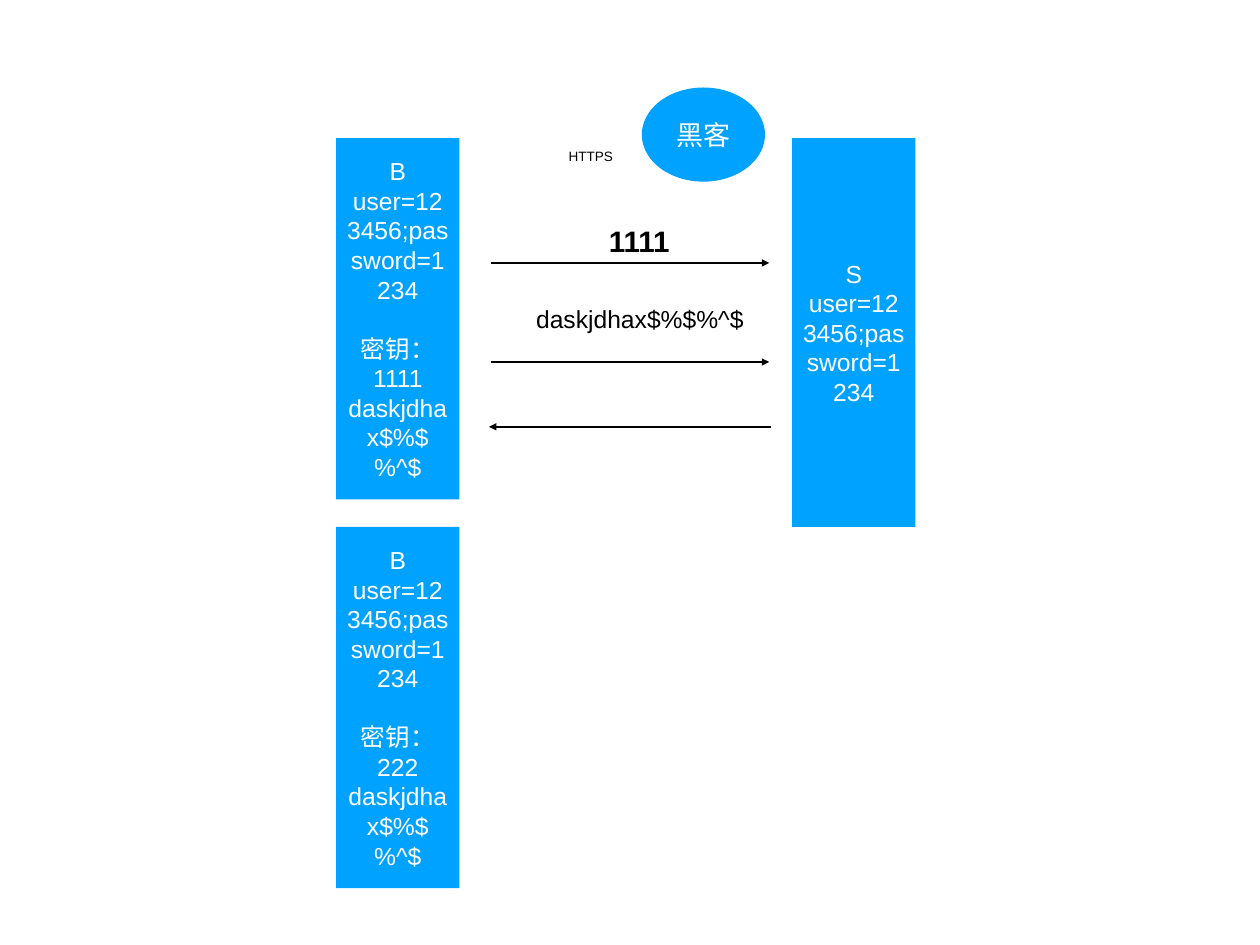
from dataclasses import dataclass

from lxml.etree import SubElement
from pptx import Presentation
from pptx.dml.color import RGBColor
from pptx.enum.shapes import MSO_CONNECTOR_TYPE as Link, MSO_SHAPE as Preset
from pptx.enum.text import MSO_ANCHOR as Anchor, MSO_AUTO_SIZE as Fit, PP_ALIGN as Align
from pptx.oxml.ns import qn
from pptx.slide import Slide
from pptx.text.text import TextFrame
from pptx.util import Cm, Pt

BLUE, WHITE, BLACK = "00A2FF", "FFFFFF", "000000"
PARTY_WIDTH = 3.53
BROWSER_LEFT, SERVER_LEFT = 9.64, 22.71
BROWSER_TOP, SECOND_BROWSER_TOP = 3.96, 15.11
BROWSER_HEIGHT = 10.36
LOGIN = "user=123456;password=1234"
CIPHER = "daskjdhax$%$%^$"


@dataclass
class Party:
    left: float
    top: float
    height: float
    lines: tuple[str, ...]
    preset: Preset = Preset.RECTANGLE
    size: int = 20
    inset: float = 0.3


@dataclass
class Label:
    left: float
    top: float
    width: float
    height: float
    text: str
    size: int
    bold: bool = False
    align: Align = Align.CENTER
    anchor: Anchor = Anchor.MIDDLE
    wrap: bool = False
    fit: Fit = Fit.SHAPE_TO_FIT_TEXT


@dataclass
class Message:
    start: float
    end: float
    y: float


def browser(top: float, key: str) -> Party:
    return Party(BROWSER_LEFT, top, BROWSER_HEIGHT, ("B", LOGIN, f"密钥：{key}", CIPHER))


PARTIES = [
    browser(BROWSER_TOP, "1111"),
    Party(SERVER_LEFT, BROWSER_TOP, SECOND_BROWSER_TOP - BROWSER_TOP, ("S", LOGIN)),
    browser(SECOND_BROWSER_TOP, "222"),
    Party(18.4, 2.51, 2.7, ("黑客",), Preset.OVAL, 22, 0.15),
]
LABELS = [
    Label(16.15, 4.09, 2.79, 1.12, "HTTPS", 11, align=Align.LEFT,
          anchor=Anchor.TOP, wrap=True, fit=Fit.NONE),
    Label(15.07, 8.59, 6.55, 1.12, CIPHER, 20),
    Label(17.22, 6.28, 2.21, 1.27, "1111", 24, bold=True),
]
MESSAGES = [
    Message(14.07, 22.05, 7.54),
    Message(14.07, 22.05, 10.38),
    Message(22.1, 14.02, 12.24),
]


def color(value: str) -> RGBColor:
    return RGBColor.from_string(value)


def apply(target: object, values: dict[str, object]) -> None:
    for name, value in values.items():
        setattr(target, name, value)


def write(frame: TextFrame, lines: tuple[str, ...], inset: float, ink: str,
          layout: dict[str, object], font: dict[str, object],
          align: Align = Align.CENTER) -> None:
    sides = ("left", "top", "right", "bottom")
    apply(frame, layout | {f"margin_{side}": Cm(inset) for side in sides})
    for index, line in enumerate(lines):
        paragraph = frame.paragraphs[0] if index == 0 else frame.add_paragraph()
        paragraph.alignment = align
        if line.startswith("密钥"):
            paragraph.space_before = Pt(24)
        run = paragraph.add_run()
        run.text = line
        apply(run.font, {"name": "Arial"} | font)
        run.font.color.rgb = color(ink)


def draw_party(slide: Slide, party: Party) -> None:
    block = slide.shapes.add_shape(party.preset, Cm(party.left), Cm(party.top),
                                   Cm(PARTY_WIDTH), Cm(party.height))
    block.shadow.inherit = False
    block.fill.solid()
    block.fill.fore_color.rgb = color(BLUE)
    block.line.fill.background()
    write(block.text_frame, party.lines, party.inset, WHITE,
          {"word_wrap": True, "vertical_anchor": Anchor.MIDDLE},
          {"size": Pt(party.size)})


def draw_label(slide: Slide, label: Label) -> None:
    caption = slide.shapes.add_textbox(Cm(label.left), Cm(label.top),
                                       Cm(label.width), Cm(label.height))
    write(caption.text_frame, (label.text,), 0.15, BLACK,
          {"word_wrap": label.wrap, "vertical_anchor": label.anchor, "auto_size": label.fit},
          {"size": Pt(label.size), "bold": label.bold}, label.align)


def draw_message(slide: Slide, message: Message) -> None:
    arrow = slide.shapes.add_connector(Link.STRAIGHT, Cm(message.start), Cm(message.y),
                                       Cm(message.end), Cm(message.y))
    arrow.line.width = Pt(2)
    arrow.line.color.rgb = color(BLACK)
    properties = arrow._element.spPr
    SubElement(properties.find(qn("a:ln")), qn("a:tailEnd"), type="triangle")
    SubElement(properties, qn("a:effectLst"))


def main() -> None:
    deck = Presentation()
    apply(deck, {"slide_width": Cm(36.12), "slide_height": Cm(27.1)})
    slide = deck.slides.add_slide(deck.slide_layouts[6])
    for party in PARTIES:
        draw_party(slide, party)
    for message in MESSAGES:
        draw_message(slide, message)
    for label in LABELS:
        draw_label(slide, label)
    deck.save("out.pptx")


if __name__ == "__main__":
    main()
